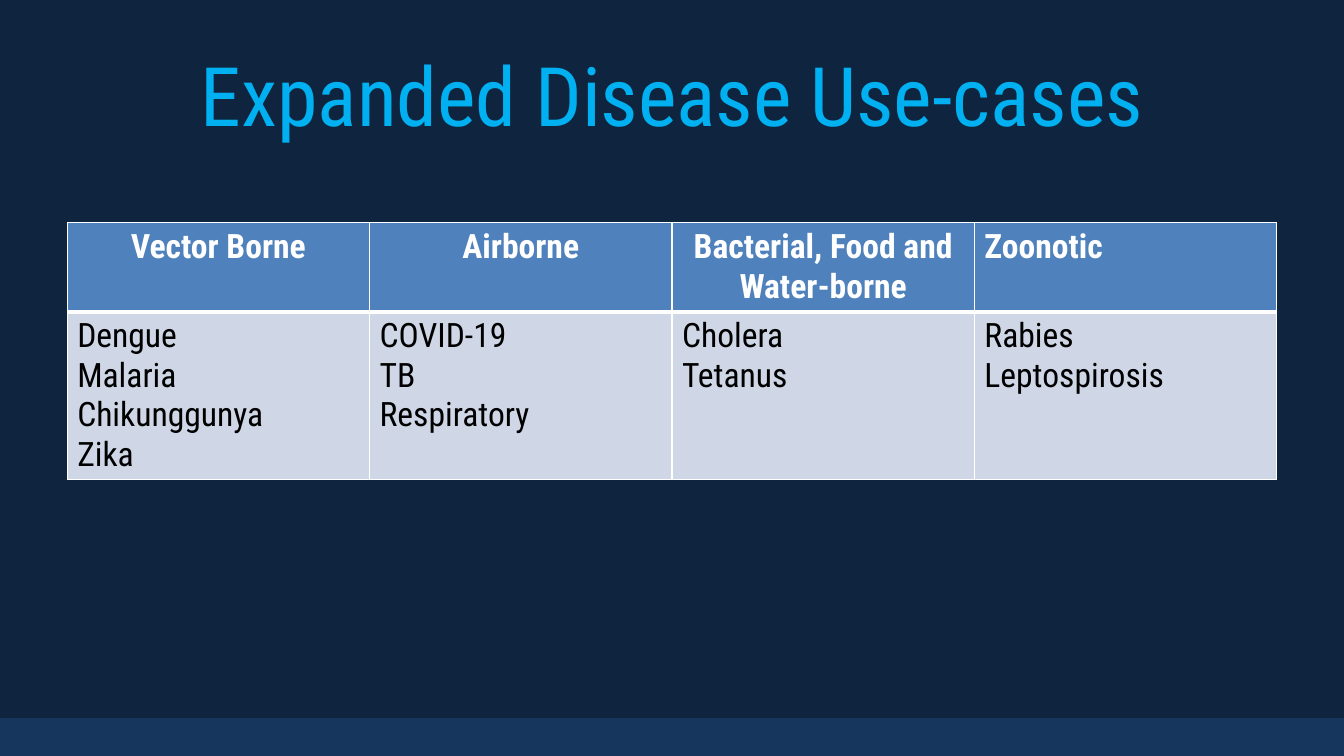
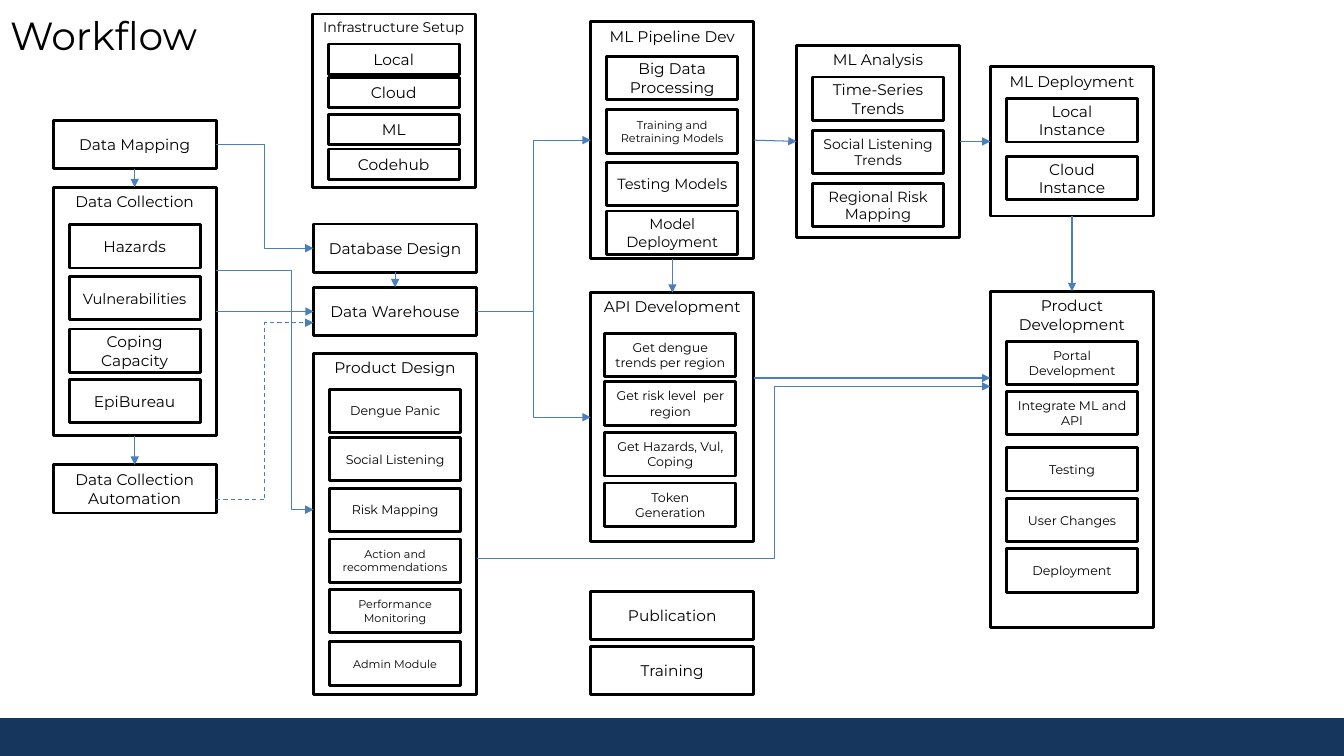
"""Build a disease use-case table slide and a workflow diagram slide."""
from lxml import etree
from pptx import Presentation
from pptx import util as u
from pptx.dml.color import RGBColor
from pptx.enum import dml, shapes, text
from pptx.oxml import ns

Pt = u.Pt
NAVY = RGBColor(0x0F, 0x24, 0x3E)
BAND_BLUE = RGBColor(0x17, 0x36, 0x5D)
SKY = RGBColor(0x00, 0xB0, 0xF0)
HEADER_BLUE = RGBColor(0x4F, 0x81, 0xBD)
CELL_BLUE = RGBColor(0xCF, 0xD7, 0xE7)
ARROW_BLUE = RGBColor(0x4B, 0x7E, 0xBC)
WHITE = RGBColor(0xFF, 0xFF, 0xFF)
BLACK = RGBColor(0x00, 0x00, 0x00)

CONDENSED = "Roboto Condensed"
MONTSERRAT = "Montserrat"
LEFT, CENTER = text.PP_ALIGN.LEFT, text.PP_ALIGN.CENTER
STRAIGHT, ELBOW = shapes.MSO_CONNECTOR.STRAIGHT, shapes.MSO_CONNECTOR.ELBOW
TOP_SIDE, LEFT_SIDE, BOTTOM_SIDE, RIGHT_SIDE = range(4)

SLIDE_WIDTH, SLIDE_HEIGHT, BAND_HEIGHT = 960, 540, 27
BOX_WIDTH, STEP_HEIGHT = 116.5, 34.5
ITEM_WIDTH, ITEM_HEIGHT, LOW_ITEM_HEIGHT = 93.6, 31, 21.5
COLLECT_X, DESIGN_X, MODEL_X, ANALYSIS_X, PRODUCT_X = 38, 224, 422, 569, 707.5

DISEASES = [
    ("Vector Borne", CENTER, ["Dengue", "Malaria", "Chikunggunya", "Zika"]),
    ("Airborne", CENTER, ["COVID-19", "TB", "Respiratory"]),
    ("Bacterial, Food and Water-borne", CENTER, ["Cholera", "Tetanus"]),
    ("Zoonotic", LEFT, ["Rabies", "Leptospirosis"]),
]

STEPS = {
    "Data Mapping": (COLLECT_X, 86),
    "Data Collection Automation": (COLLECT_X, 332),
    "Database Design": (DESIGN_X, 160),
    "Data Warehouse": (DESIGN_X, 205.25),
    "Publication": (MODEL_X, 422.5),
    "Training": (MODEL_X, 461.5),
}

PANELS = {
    "Data Collection": (COLLECT_X, 133.75, 177.5, 11, [
        ("Hazards", 11, 160.5), ("Vulnerabilities", 10.5, 197.5),
        ("Coping Capacity", 11, 235), ("EpiBureau", 11, 271)]),
    "Infrastructure Setup": (DESIGN_X - 1, 10, 124, 10, [
        ("Local", 11, 31.5), ("Cloud", 11, 55.5),
        ("ML", 11, 82), ("Codehub", 11, 106.5)]),
    "Product Design": (DESIGN_X, 252.5, 243.5, 11, [
        ("Dengue Panic", 9, 278), ("Social Listening", 9, 312.5),
        ("Risk Mapping", 9, 348.75), ("Action and recommendations", 8, 385),
        ("Performance Monitoring", 8, 421), ("Admin Module", 8, 458.5)]),
    "ML Pipeline Dev": (MODEL_X, 15.5, 169.25, 11, [
        ("Big Data Processing", 11, 40.25),
        ("Training and Retraining Models", 8, 78.5),
        ("Testing Models", 10.5, 116), ("Model Deployment", 10.5, 150.75)]),
    "API Development": (MODEL_X, 209, 178, 11, [
        ("Get dengue trends per region", 9, 238.25),
        ("Get risk level  per region", 9, 272.75),
        ("Get Hazards, Vul, Coping", 9, 309), ("Token Generation", 9, 345)]),
    "ML Analysis": (ANALYSIS_X, 32.25, 137.5, 11, [
        ("Time-Series Trends", 11, 55), ("Social Listening Trends", 10, 93),
        ("Regional Risk Mapping", 10.5, 131)]),
    "ML Deployment": (PRODUCT_X, 47.75, 106.5, 11, [
        ("Local\vInstance", 11, 70.5), ("Cloud Instance", 11, 111.75)]),
    "Product Development": (PRODUCT_X, 208, 240, 11, [
        ("Portal Development", 9, 243.75), ("Integrate ML and API", 9, 279.5),
        ("Testing", 9, 319.75), ("User Changes", 9, 356),
        ("Deployment", 9, 392)]),
}

JOINS = [
    ("Data Mapping", BOTTOM_SIDE, "Data Collection", TOP_SIDE, STRAIGHT),
    ("Data Collection", BOTTOM_SIDE, "Data Collection Automation", TOP_SIDE, STRAIGHT),
    ("Data Collection", RIGHT_SIDE, "Data Warehouse", LEFT_SIDE, STRAIGHT),
    ("Database Design", BOTTOM_SIDE, "Data Warehouse", TOP_SIDE, STRAIGHT),
    ("ML Pipeline Dev", BOTTOM_SIDE, "API Development", TOP_SIDE, STRAIGHT),
    ("ML Pipeline Dev", RIGHT_SIDE, "ML Analysis", LEFT_SIDE, STRAIGHT),
    ("ML Analysis", RIGHT_SIDE, "ML Deployment", LEFT_SIDE, STRAIGHT),
    ("ML Deployment", BOTTOM_SIDE, "Product Development", TOP_SIDE, STRAIGHT),
    ("Data Mapping", RIGHT_SIDE, "Database Design", LEFT_SIDE, ELBOW),
    ("Data Warehouse", RIGHT_SIDE, "ML Pipeline Dev", LEFT_SIDE, ELBOW),
    ("Data Warehouse", RIGHT_SIDE, "API Development", LEFT_SIDE, ELBOW),
]


def set_font(paragraph, name, size, color, bold=False, align=CENTER):
    """Format a whole paragraph."""
    paragraph.alignment = align
    font = paragraph.font
    font.name, font.size, font.bold = name, Pt(size), bold
    font.color.rgb = color


def add_rectangle(slide, left, top, width, height, fill, line=None):
    """Add a flat rectangle with an optional outline."""
    shape = slide.shapes.add_shape(
        shapes.MSO_SHAPE.RECTANGLE, Pt(left), Pt(top), Pt(width), Pt(height))
    shape.shadow.inherit = False
    shape.fill.solid()
    shape.fill.fore_color.rgb = fill
    if line is None:
        shape.line.fill.background()
    else:
        shape.line.color.rgb = line
        shape.line.width = Pt(2)
    return shape


def add_master_band(presentation, slide):
    """Put the bottom band on the slide master, behind its placeholders."""
    band = add_rectangle(slide, 0, SLIDE_HEIGHT - BAND_HEIGHT,
                         SLIDE_WIDTH, BAND_HEIGHT, BAND_BLUE)
    band.element.nvSpPr.cNvPr.set("id", "20")
    presentation.slide_master.shapes.element.insert(2, band.element)


def add_slide(presentation, background):
    """Add a title-only slide with a plain background."""
    slide = presentation.slides.add_slide(presentation.slide_layouts[5])
    slide.background.fill.solid()
    slide.background.fill.fore_color.rgb = background
    return slide


def set_title(slide, title_text, box, name, size, color, align):
    """Fill, move and format the title placeholder."""
    title = slide.shapes.title
    title.left, title.top, title.width, title.height = map(Pt, box)
    frame = title.text_frame
    frame.text = title_text
    frame.auto_size = text.MSO_AUTO_SIZE.NONE
    frame.vertical_anchor = text.MSO_ANCHOR.MIDDLE
    set_font(frame.paragraphs[0], name, size, color, align=align)


def set_borders(cell, top, bottom):
    """Draw white cell borders, with the given top and bottom widths."""
    properties = cell._tc.get_or_add_tcPr()
    for side, width in (("L", 1), ("R", 1), ("T", top), ("B", bottom)):
        line = etree.SubElement(properties, ns.qn(f"a:ln{side}"), w=str(Pt(width)))
        fill = etree.SubElement(line, ns.qn("a:solidFill"))
        etree.SubElement(fill, ns.qn("a:srgbClr"), val=str(WHITE))


def fill_cell(cell, lines, fill, color, borders, bold=False, align=LEFT):
    """Write one table cell, a paragraph per line."""
    set_borders(cell, *borders)
    cell.fill.solid()
    cell.fill.fore_color.rgb = fill
    cell.text_frame.text = "\n".join(lines)
    for paragraph in cell.text_frame.paragraphs:
        set_font(paragraph, CONDENSED, 24, color, bold, align)


def add_disease_table(slide):
    """Add the table of diseases by way of spread."""
    table = slide.shapes.add_table(
        2, len(DISEASES), Pt(48), Pt(159), Pt(864), Pt(182)).table
    table.rows[0].height, table.rows[1].height = Pt(63.5), Pt(118.5)
    for column, (heading, align, diseases) in enumerate(DISEASES):
        fill_cell(table.cell(0, column), [heading], HEADER_BLUE, WHITE,
                  (1, 3), True, align)
        fill_cell(table.cell(1, column), diseases, CELL_BLUE, BLACK, (3, 1))


def add_box(slide, label, size, left, top, width, height,
            anchor=text.MSO_ANCHOR.MIDDLE):
    """Add an outlined, labelled workflow box."""
    shape = add_rectangle(slide, left, top, width, height, WHITE, BLACK)
    frame = shape.text_frame
    frame.word_wrap = True
    frame.vertical_anchor = anchor
    frame.text = label
    set_font(frame.paragraphs[0], MONTSERRAT, size, BLACK)
    return shape


def add_panel(slide, label, left, top, height, size, items):
    """Add a headed panel with its column of item boxes."""
    panel = add_box(slide, label, size, left, top, BOX_WIDTH, height,
                    text.MSO_ANCHOR.TOP)
    inset = 10 if label == "API Development" else (BOX_WIDTH - ITEM_WIDTH) / 2
    item_height = LOW_ITEM_HEIGHT if label == "Infrastructure Setup" else ITEM_HEIGHT
    for item, item_size, item_top in items:
        add_box(slide, item, item_size, left + inset, item_top,
                ITEM_WIDTH, item_height)
    return panel


def add_arrow(slide, kind, start=(0, 0), end=(0, 0), bend=None, dashed=False):
    """Add a thin arrow; bend is the elbow's place along its width."""
    arrow = slide.shapes.add_connector(kind, *map(Pt, start + end))
    arrow.line.color.rgb = ARROW_BLUE
    arrow.line.width = Pt(0.75)
    if dashed:
        arrow.line.dash_style = dml.MSO_LINE.DASH
    properties = arrow.element.spPr
    etree.SubElement(properties.get_or_add_ln(), ns.qn("a:tailEnd"), type="triangle")
    etree.SubElement(properties, ns.qn("a:effectLst"))
    if bend is not None:
        guides = properties.find(ns.qn("a:prstGeom")).find(ns.qn("a:avLst"))
        etree.SubElement(guides, ns.qn("a:gd"), name="adj1",
                         fmla=f"val {round(bend * 100000)}")
    return arrow


def add_workflow(slide):
    """Draw the workflow boxes and the arrows between them."""
    boxes = {label: add_box(slide, label, 11, left, top, BOX_WIDTH, STEP_HEIGHT)
             for label, (left, top) in STEPS.items()}
    for label, panel in PANELS.items():
        boxes[label] = add_panel(slide, label, *panel)
    for source, source_side, target, target_side, kind in JOINS:
        arrow = add_arrow(slide, kind)
        arrow.begin_connect(boxes[source], source_side)
        arrow.end_connect(boxes[target], target_side)
    collect_right = COLLECT_X + BOX_WIDTH
    add_arrow(slide, ELBOW, (collect_right, 357), (DESIGN_X, 230.5), dashed=True)
    add_arrow(slide, ELBOW, (collect_right, 193), (DESIGN_X, 364), 0.77)
    add_arrow(slide, ELBOW, (DESIGN_X + BOX_WIDTH, 399), (PRODUCT_X, 276), 0.58)
    add_arrow(slide, STRAIGHT, (MODEL_X + BOX_WIDTH, 270), (PRODUCT_X, 270))


def main():
    """Build and save the presentation."""
    presentation = Presentation()
    presentation.slide_width, presentation.slide_height = Pt(SLIDE_WIDTH), Pt(SLIDE_HEIGHT)

    slide = add_slide(presentation, NAVY)
    add_master_band(presentation, slide)
    set_title(slide, "Expanded Disease Use-cases", (48, 22, 864, 90),
              CONDENSED, 58.6, SKY, CENTER)
    add_disease_table(slide)

    slide = add_slide(presentation, WHITE)
    set_title(slide, "Workflow", (0, 0, 864, 50), MONTSERRAT, 28, BLACK, LEFT)
    add_workflow(slide)

    presentation.save("out.pptx")


if __name__ == "__main__":
    main()
